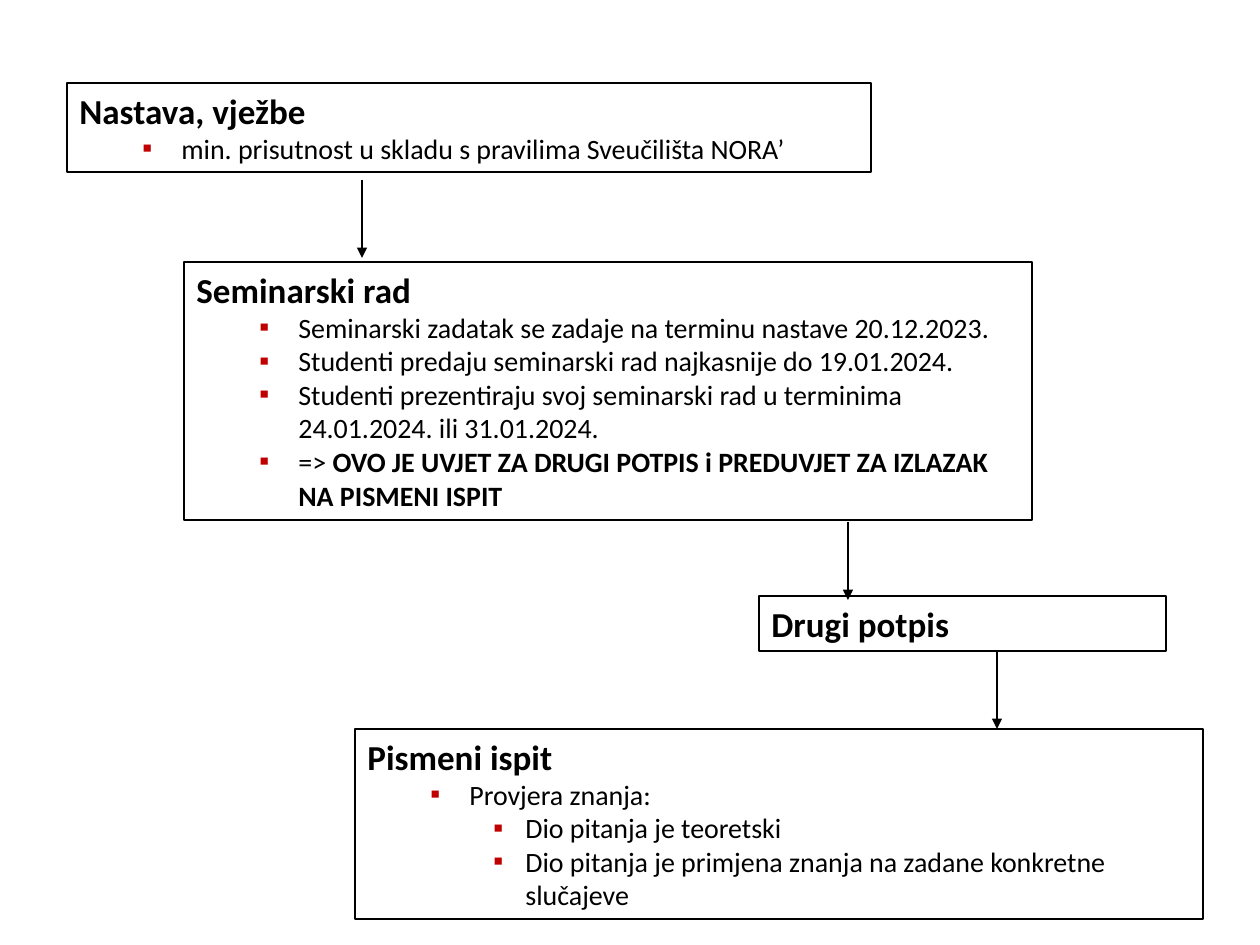
from lxml import etree
from pptx import Presentation
from pptx import util as u
from pptx.dml.color import RGBColor
from pptx.enum import shapes, text
from pptx.oxml import ns

COLORS = {"ink": "000000", "bullet": "C00000"}
INDENTS = {1: (102, -39), 2: (158, -32)}


def px(n):
    return u.Emu(round(n * 914400 / 126))


def sub(parent, tag, **attrs):
    return etree.SubElement(parent, ns.qn(tag), attrs)


class Deck:
    font = "Calibri"
    line_width = u.Pt(0.75)
    title_size = 20
    body_size = 16

    def __init__(self):
        self.prs = Presentation()
        self.prs.slide_width, self.prs.slide_height = px(1260), px(945)
        self.s = self.prs.slides.add_slide(self.prs.slide_layouts[6])

    def color(self, name):
        return RGBColor.from_string(COLORS[name])

    def outline(self, sp):
        sp.line.color.rgb = self.color("ink")
        sp.line.width = self.line_width

    def run(self, p, words, size, bold=False):
        r = p.add_run()
        r.text = words
        r.font.name = self.font
        r.font.size = u.Pt(size)
        r.font.bold = bold
        r.font.color.rgb = self.color("ink")

    def bullet(self, p, level):
        p.level = level
        pPr = p._p.get_or_add_pPr()
        left, hang = INDENTS[level]
        pPr.set("marL", str(px(left)))
        pPr.set("indent", str(px(hang)))
        sub(sub(pPr, "a:buClr"), "a:srgbClr", val=COLORS["bullet"])
        sub(pPr, "a:buFont", typeface=self.font)
        sub(pPr, "a:buChar", char="▪")

    def box(self, x, y, w, h, title, items=()):
        sp = self.s.shapes.add_shape(shapes.MSO_SHAPE.RECTANGLE, px(x), px(y), px(w), px(h))
        sp.shadow.inherit = False
        sp.fill.background()
        self.outline(sp)
        tf = sp.text_frame
        tf.word_wrap = True
        tf.auto_size = text.MSO_AUTO_SIZE.SHAPE_TO_FIT_TEXT
        tf.vertical_anchor = text.MSO_ANCHOR.TOP
        p = tf.paragraphs[0]
        p.alignment = text.PP_ALIGN.LEFT
        self.run(p, title, self.title_size, True)
        for level, plain, strong in items:
            p = tf.add_paragraph()
            p.alignment = text.PP_ALIGN.LEFT
            self.bullet(p, level)
            self.run(p, plain, self.body_size)
            if strong:
                self.run(p, strong, self.body_size, True)

    def arrow_down(self, x, top, bottom):
        c = self.s.shapes.add_connector(
            shapes.MSO_CONNECTOR.STRAIGHT, px(x), px(top), px(x), px(bottom))
        self.outline(c)
        sub(c.line._get_or_add_ln(), "a:tailEnd", type="triangle")
        sub(c._element.spPr, "a:effectLst")


def main():
    d = Deck()
    d.box(67, 83, 804, 89, "Nastava, vježbe", [
        (1, "min. prisutnost u skladu s pravilima Sveučilišta NORA’", ""),
    ])
    d.box(759, 596, 407, 55, "Drugi potpis")
    d.box(184, 262, 848, 258, "Seminarski rad", [
        (1, "Seminarski zadatak se zadaje na terminu nastave 20.12.2023.", ""),
        (1, "Studenti predaju seminarski rad najkasnije do 19.01.2024.", ""),
        (1, "Studenti prezentiraju svoj seminarski rad u terminima 24.01.2024. ili 31.01.2024.", ""),
        (1, "=> ", "OVO JE UVJET ZA DRUGI POTPIS i PREDUVJET ZA IZLAZAK NA PISMENI ISPIT"),
    ])
    d.box(355, 729, 848, 190, "Pismeni ispit", [
        (1, "Provjera znanja:", ""),
        (2, "Dio pitanja je teoretski", ""),
        (2, "Dio pitanja je primjena znanja na zadane konkretne slučajeve", ""),
    ])
    for x, top, bottom in [(362, 180, 258), (848, 522, 600), (997, 650, 729)]:
        d.arrow_down(x, top, bottom)
    d.prs.save("out.pptx")


if __name__ == "__main__":
    main()
